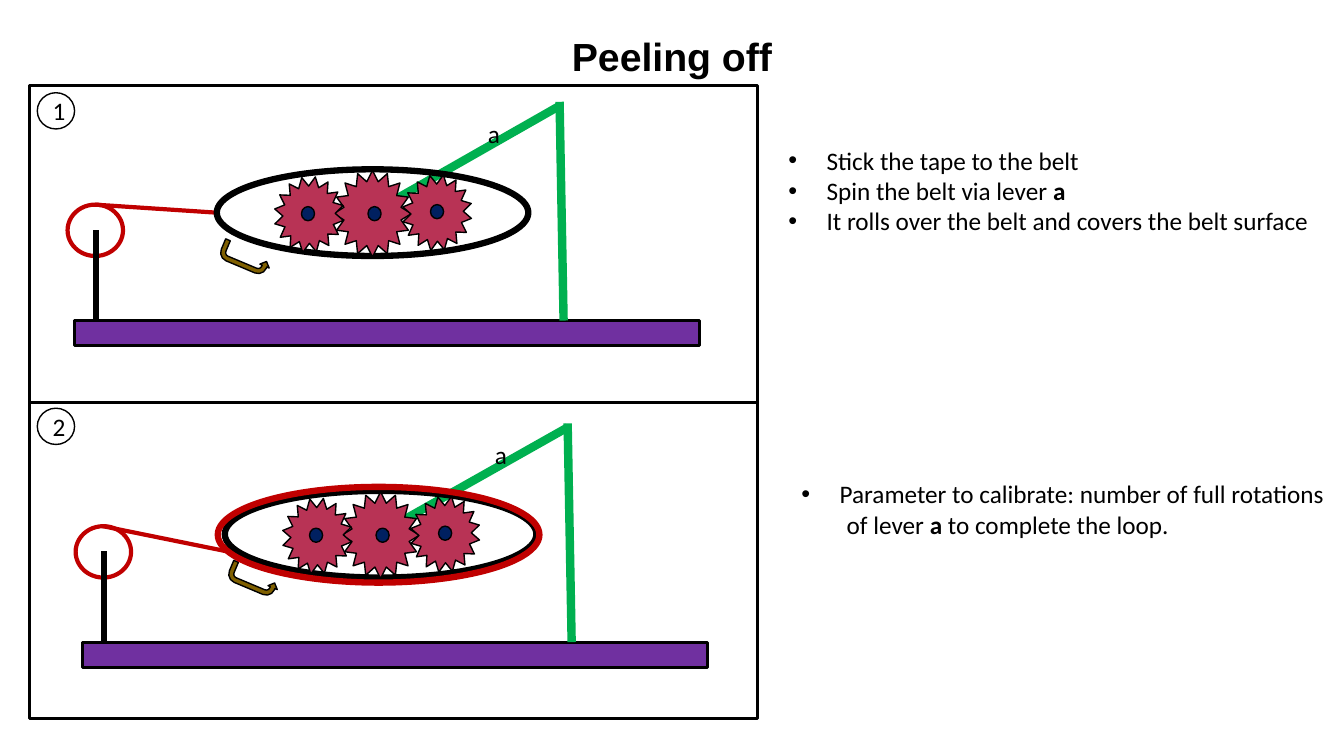
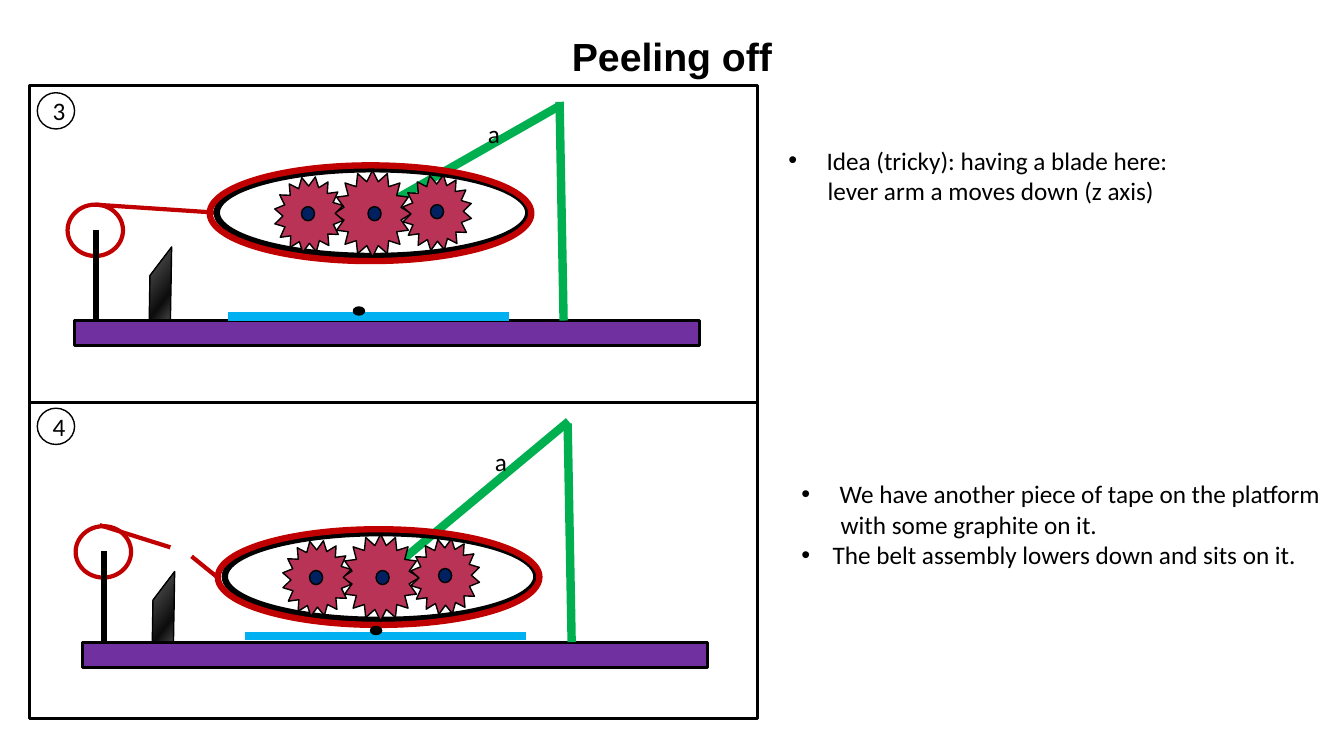
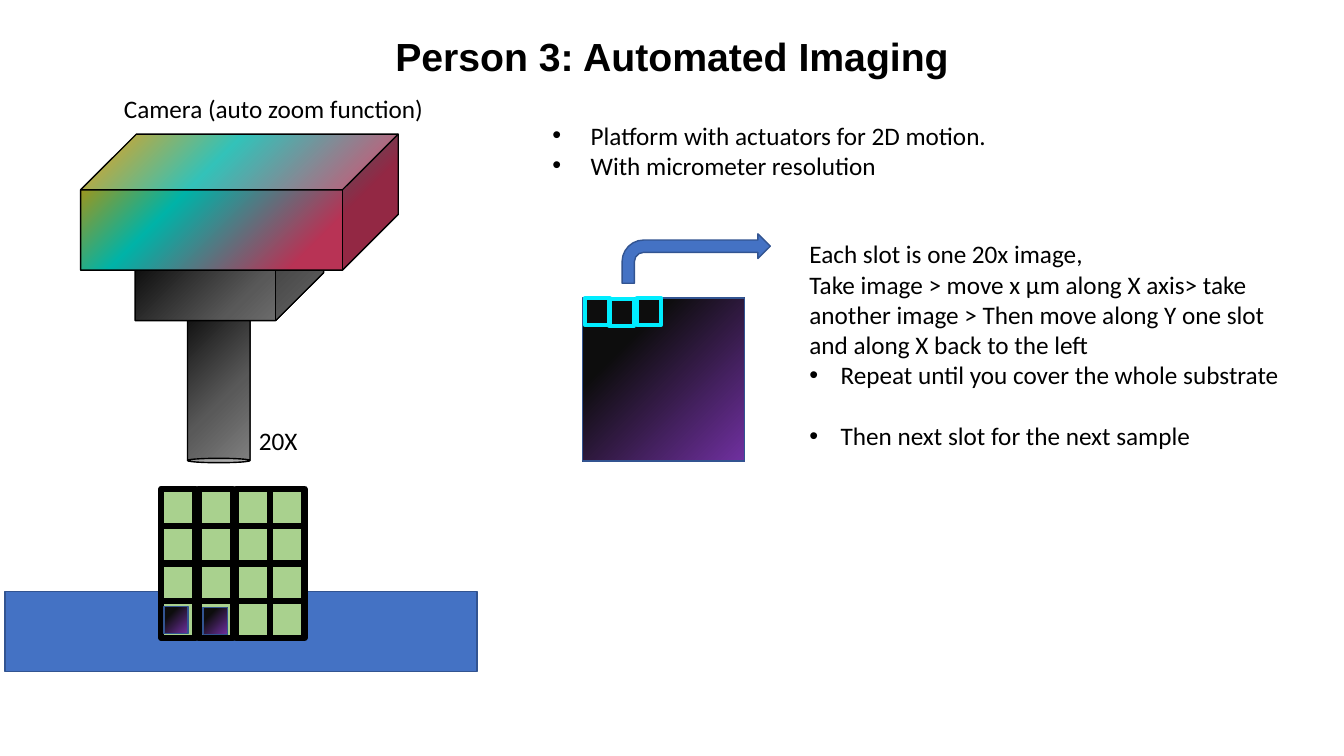
import pptx
import pptx.dml.color
import pptx.enum.shapes
import pptx.enum.text
import pptx.oxml
import pptx.oxml.ns
import pptx.util

PX = 9144
RGBColor = pptx.dml.color.RGBColor
BLACK = RGBColor(0x00, 0x00, 0x00)
GREEN = RGBColor(0x00, 0xB0, 0x50)
PURPLE = RGBColor(0x70, 0x30, 0xA0)
RED = RGBColor(0xC0, 0x00, 0x00)
GEAR = RGBColor(0xB8, 0x33, 0x55)
NAVY = RGBColor(0x00, 0x20, 0x60)
BROWN = RGBColor(0x80, 0x60, 0x00)
SKY = RGBColor(0x00, 0xB0, 0xF0)
BLUE = RGBColor(0x44, 0x72, 0xC4)
EDGE = RGBColor(0x32, 0x54, 0x91)
LEAF = RGBColor(0xA9, 0xD1, 0x8E)
CYAN = RGBColor(0x00, 0xED, 0xFF)

CORNER = '<a:path path="circle"><a:fillToRect l="100000" t="100000"/></a:path><a:tileRect r="-100000" b="-100000"/>'
DOWN = '<a:lin ang="5400000" scaled="0"/>'
BLADE = ([(0, "808080"), (50, "0D0D0D"), (100, "D9D9D9")], DOWN)
METAL = ([(0, "808080"), (35, "595959"), (93, "000000")], CORNER)
CAMERA = ([(24, "B83355"), (64, "00B3A8"), (93, "BF9000")], CORNER)
CHIP = ([(0, "7030A0"), (73, "0D0D0D")], CORNER)

KIND = pptx.enum.shapes.MSO_SHAPE
qn = pptx.oxml.ns.qn


def add_part(page, kind, box, fill=None, line=BLACK, weight=1, rotation=0):
    part = page.shapes.add_shape(kind, *[value * PX for value in box])
    part.shadow.inherit = False
    part.rotation = rotation
    if isinstance(fill, RGBColor):
        part.fill.solid()
        part.fill.fore_color.rgb = fill
    else:
        part.fill.background()
    if fill and not isinstance(fill, RGBColor):
        stops, direction = fill
        marks = "".join(
            f'<a:gs pos="{place * 1000}"><a:srgbClr val="{color}"/></a:gs>' for place, color in stops
        )
        gradient = pptx.oxml.parse_xml(
            f'<a:gradFill {pptx.oxml.ns.nsdecls("a")} flip="none" rotWithShape="1">'
            f"<a:gsLst>{marks}</a:gsLst>{direction}</a:gradFill>"
        )
        properties = part.element.spPr
        properties.replace(properties.find(qn("a:noFill")), gradient)
    part.line.color.rgb = line
    part.line.width = pptx.util.Pt(weight)
    return part


def add_text(page, box, lines, wrap=False):
    frame = page.shapes.add_textbox(*[value * PX for value in box]).text_frame
    frame.word_wrap = wrap
    frame.auto_size = pptx.enum.text.MSO_AUTO_SIZE.SHAPE_TO_FIT_TEXT
    for index, (words, indent, bullet, gap) in enumerate(lines):
        para = frame.paragraphs[0] if index == 0 else frame.add_paragraph()
        properties = para._p.get_or_add_pPr()
        properties.set("marL", str(indent * PX))
        if bullet:
            properties.set("indent", str(-indent * PX))
            properties.append(properties.makeelement(qn("a:buFont"), {"typeface": "Arial"}))
            properties.append(properties.makeelement(qn("a:buChar"), {"char": "•"}))
        para.space_before = pptx.util.Pt(gap)
        para.font.name = "Calibri"
        para.font.size = pptx.util.Pt(18)
        para.font.color.rgb = BLACK
        for order, piece in enumerate(words.split("|")):
            span = para.add_run()
            span.text = piece
            if order % 2:
                span.font.bold = True


deck = pptx.Presentation()
deck.slide_width = 1333 * PX
deck.slide_height = 750 * PX

pages = []
for title in ("Peeling off", "Peeling off", "Person 3: Automated Imaging"):
    page = deck.slides.add_slide(deck.slide_layouts[6])
    frame = page.shapes.add_textbox(0, 27 * PX, 1333 * PX, 57 * PX).text_frame
    frame.word_wrap = True
    para = frame.paragraphs[0]
    para.text = title
    para.alignment = pptx.enum.text.PP_ALIGN.CENTER
    para.font.name = "Arial"
    para.font.size = pptx.util.Pt(28)
    para.font.bold = True
    para.font.color.rgb = BLACK
    pages.append(page)

panels = [
    {
        "lever": (376, 207, 555, 105), "label": (474, 112), "drop": 0,
        "tapes": [(94, 203, 215, 211)], "crank": True, "wound": False,
        "notes": (772, 139, 542, 131),
        "lines": [
            ("Stick the tape to the belt", 38, True, 0),
            ("Spin the belt via lever |a|", 38, True, 0),
            ("It rolls over the belt and covers the belt surface", 38, True, 0),
        ],
    },
    {
        "lever": (384, 525, 563, 424), "label": (481, 431), "drop": 0,
        "tapes": [(102, 522, 225, 547)], "crank": True, "wound": True,
        "notes": (785, 470, 550, 71),
        "lines": [
            ("Parameter to calibrate: number of full rotations", 38, True, 0),
            ("of lever |a| to complete the loop.", 45, False, 0),
        ],
    },
    {
        "lever": (376, 207, 555, 105), "label": (474, 112), "drop": 0,
        "tapes": [(94, 203, 215, 211)], "crank": False, "wound": True,
        "blade": (134, 263), "film": (226, 314), "dot": (352, 303),
        "notes": (772, 139, 401, 101),
        "lines": [
            ("Idea (tricky): having a blade here:", 38, True, 0),
            ("lever arm a moves down (z axis)", 39, False, 0),
        ],
    },
    {
        "lever": (384, 568, 564, 418), "label": (481, 438), "drop": 42,
        "tapes": [(99, 521, 169, 543), (190, 552, 216, 573)], "crank": False, "wound": True,
        "blade": (137, 585), "film": (243, 631), "dot": (369, 620),
        "notes": (785, 470, 547, 101),
        "lines": [
            ("We have another piece of tape on the platform", 38, True, 0),
            ("with some graphite on it.", 39, False, 0),
            ("The belt assembly lowers down and sits on it.", 31, True, 0),
        ],
    },
]

for index, panel in enumerate(panels):
    page = pages[index // 2]
    row = index % 2
    x, y = 8 * row, 319 * row
    belt_y = y + panel["drop"]

    if "blade" in panel:
        add_part(page, KIND.DIAGONAL_STRIPE, (*panel["blade"], 71, 52), BLADE, rotation=307.2)
    add_part(page, KIND.RECTANGLE, (29, 85 + 314 * row, 722, 314), weight=2.25)
    add_part(page, KIND.RECTANGLE, (74 + x, 318 + y, 620, 25), PURPLE, weight=2.25)
    add_part(page, KIND.OVAL, (67 + x, 203 + y, 55, 51), line=RED, weight=3)

    strokes = [
        (panel["lever"], GREEN, 6),
        ((95 + x, 318 + y, 95 + x, 228 + y), BLACK, 4.5),
        ((559 + x, 318 + y, 555 + x, 101 + y), GREEN, 6),
    ]
    strokes += [(tape, RED, 3) for tape in panel["tapes"]]
    if "film" in panel:
        left, top = panel["film"]
        strokes.append(((left, top, left + 279, top), SKY, 6))
    for ends, color, weight in strokes:
        stroke = page.shapes.add_connector(
            pptx.enum.shapes.MSO_CONNECTOR.STRAIGHT, *[value * PX for value in ends]
        )
        stroke.line.color.rgb = color
        stroke.line.width = pptx.util.Pt(weight)
        properties = stroke.element.spPr
        properties.append(properties.makeelement(qn("a:effectLst"), {}))

    add_part(page, KIND.OVAL, (215 + x, 168 + belt_y, 309, 86), weight=4.5)
    for left, top, width, height, turn in (
        (331, 169, 77, 86, 0), (272, 175, 69, 76, 9.5), (399, 173, 69, 76, 9.5)
    ):
        add_part(page, KIND.STAR_16_POINT, (left + x, top + belt_y, width, height), GEAR, rotation=turn)
    for left, top in ((299, 205), (427, 203), (365, 205)):
        add_part(page, KIND.OVAL, (left + x, top + belt_y, 13, 14), NAVY)
    if panel["crank"]:
        crank = add_part(page, KIND.U_TURN_ARROW, (218 + x, 246 + y, 51, 20), BROWN, rotation=202.8)
        crank.element.spPr.find(qn("a:xfrm")).set("flipH", "1")
    add_text(page, (*panel["label"], 32, 40), [("a", 0, False, 0)])
    if panel["wound"]:
        add_part(page, KIND.OVAL, (208 + x, 164 + belt_y, 319, 95), line=RED, weight=4.5)
    if "dot" in panel:
        add_part(page, KIND.OVAL, (*panel["dot"], 8, 11), BLACK, rotation=270)

    badge = add_part(page, KIND.OVAL, (37, 92 + 313 * row, 37, 36))
    para = badge.text_frame.paragraphs[0]
    para.text = str(index + 1)
    para.alignment = pptx.enum.text.PP_ALIGN.CENTER
    para.font.name = "Calibri"
    para.font.size = pptx.util.Pt(18)
    para.font.color.rgb = BLACK
    add_text(page, panel["notes"], panel["lines"])

page = pages[2]
add_part(page, KIND.RECTANGLE, (5, 587, 468, 79), BLUE, EDGE)
for kind, box, fill, turn, depth in (
    (KIND.CAN, (186, 268, 62, 191), METAL, 180, 0.07),
    (KIND.CUBE, (134, 219, 187, 99), METAL, 0, 0.48),
    (KIND.CUBE, (80, 133, 315, 135), CAMERA, 0, 0.41),
):
    part = add_part(page, kind, box, fill, rotation=turn)
    part.adjustments[0] = depth
add_text(page, (113, 88, 321, 40), [("Camera (auto zoom function)", 0, False, 0)])
add_text(page, (247, 417, 59, 40), [("20X", 0, False, 0)])

for row in range(4):
    for left in (160, 197, 234, 268):
        add_part(page, KIND.RECTANGLE, (left, 485 + 37 * row, 34, 37), LEAF, weight=4.5)
for box in ((161, 603, 27, 24), (200, 604, 27, 24), (577, 296, 162, 161)):
    add_part(page, KIND.RECTANGLE, box, CHIP, EDGE, rotation=270)
for left, top in ((579, 297), (603, 298), (630, 297)):
    add_part(page, KIND.RECTANGLE, (left, top, 27, 24), line=CYAN, weight=3, rotation=270)
add_part(page, KIND.BENT_ARROW, (617, 232, 147, 49), BLUE, EDGE)

add_text(page, (538, 114, 609, 131), [
    ("Platform with actuators for 2D motion.", 38, True, 0),
    ("With micrometer resolution", 38, True, 0),
], wrap=True)
add_text(page, (793, 232, 486, 313), [
    ("Each slot is one 20x image,", 0, False, 0),
    ("Take image > move x μm along X axis> take another image > "
     "Then move along Y one slot and along X back to the left", 0, False, 0),
    ("Repeat until you cover the whole substrate", 31, True, 0),
    ("Then next slot for the next sample", 31, True, 22),
], wrap=True)

deck.save("out.pptx")
